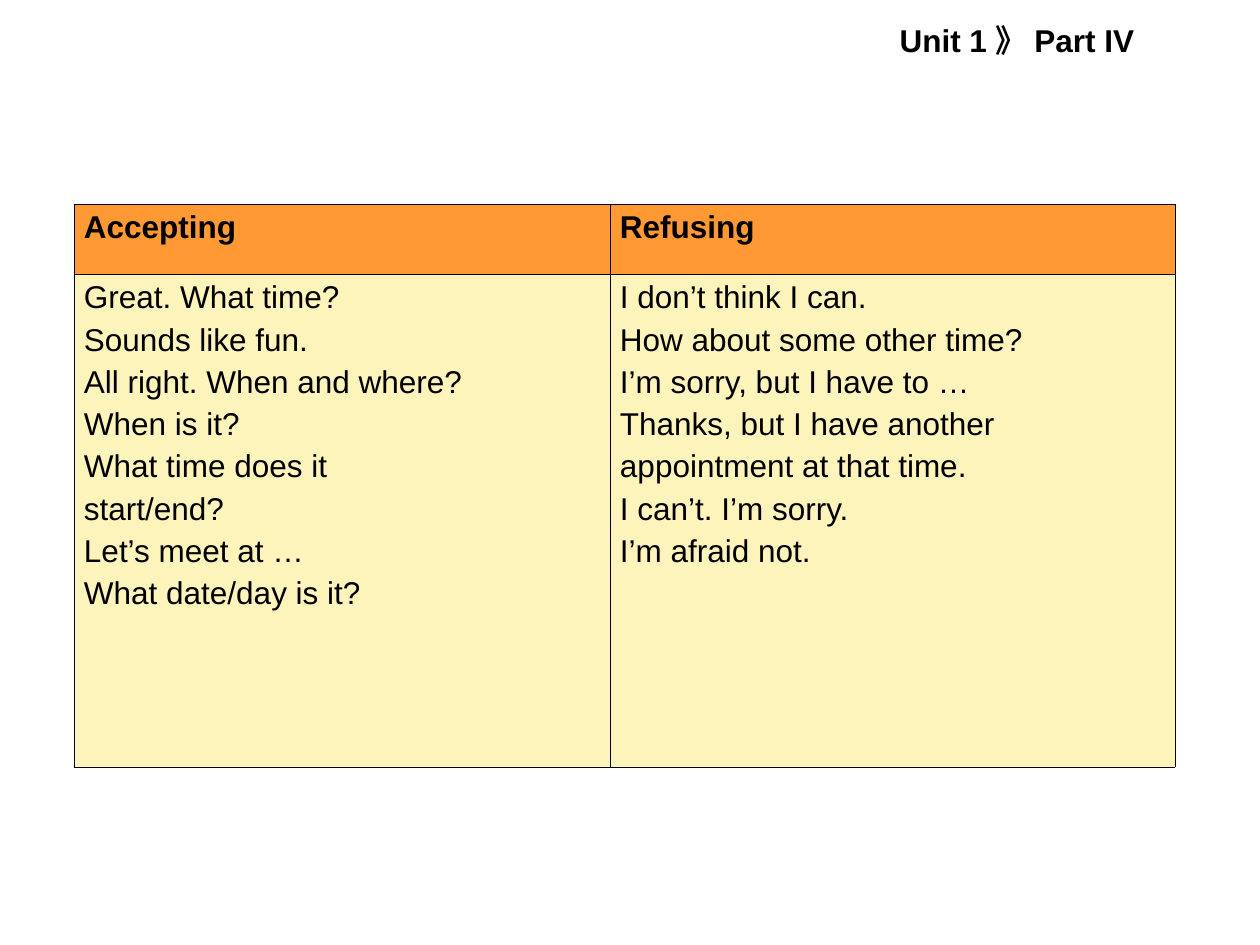
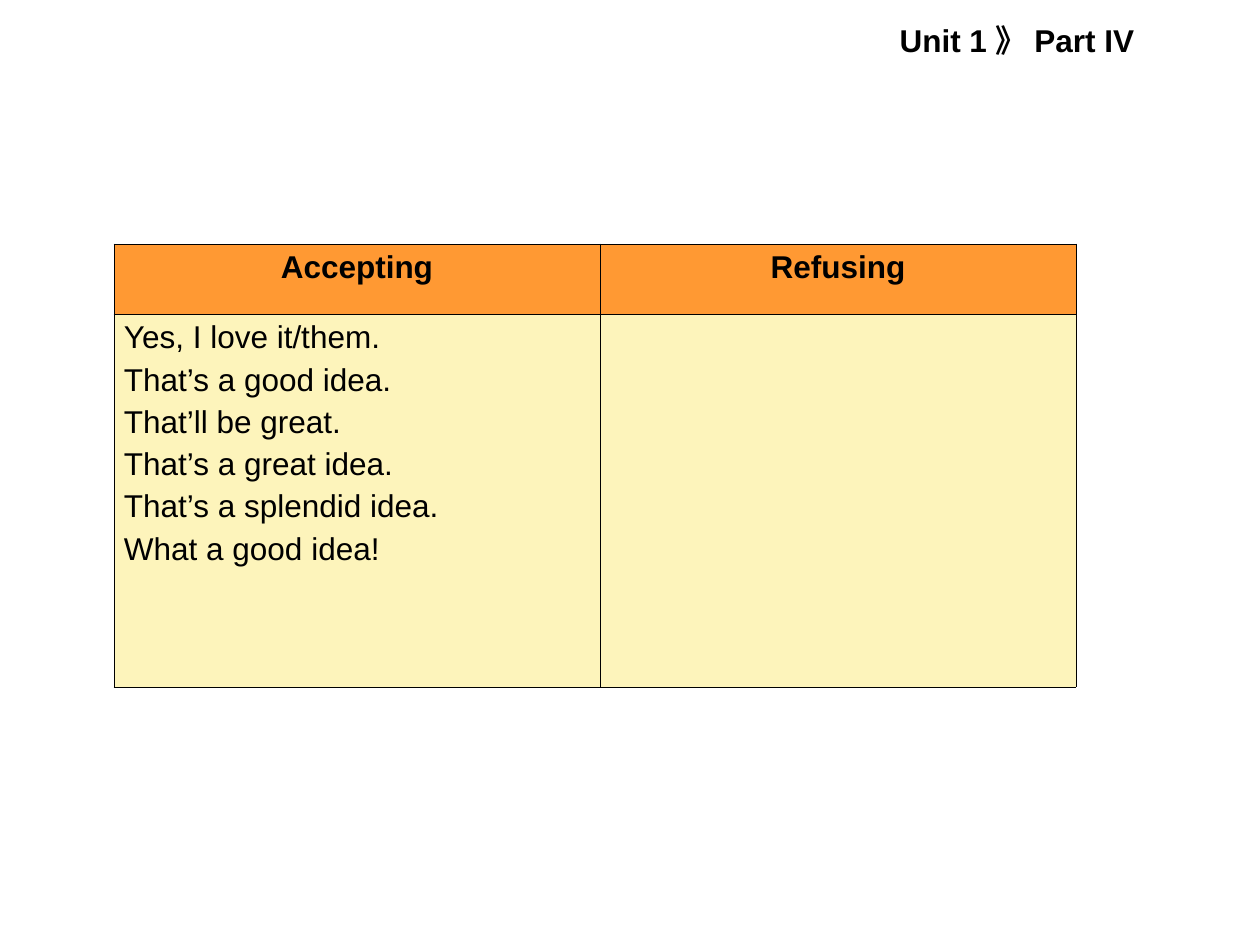
from dataclasses import dataclass

from lxml import etree
from pptx import Presentation
from pptx import util as u
from pptx.dml.color import RGBColor
from pptx.enum import text
from pptx.oxml import ns

PX = u.Inches(1) / 126


@dataclass(frozen=True)
class Theme:
    font: str = "Arial"
    size: float = 18
    line_gap: float = 4
    ink: str = "000000"
    header_fill: str = "FF9933"
    body_fill: str = "FDF4BB"
    border_width: float = 0.45


THEME = Theme()
UNIT_TITLE = "Unit 1 》 Part IV"
UNIT_TITLE_BOX = (887, 15, 276, 50)
HEADINGS = ("Accepting", "Refusing")
HEADER_HEIGHT = 70
CELL_INSET = 10
HANGING_INDENT = 48

PHRASE_SLIDES = [
    {
        "box": (74, 204, 1101, 563),
        "first_width": 536,
        "heading_align": text.PP_ALIGN.LEFT,
        "phrases": (
            (
                "Great. What time?",
                "Sounds like fun.",
                "All right. When and where?",
                "When is it?",
                "What time does it",
                "start/end?",
                "Let’s meet at …",
                "What date/day is it?",
            ),
            (
                "I don’t think I can.",
                "How about some other time?",
                "I’m sorry, but I have to …",
                "Thanks, but I have another",
                "appointment at that time.",
                "I can’t. I’m sorry.",
                "I’m afraid not.",
            ),
        ),
    },
    {
        "box": (114, 244, 962, 443),
        "first_width": 486,
        "heading_align": text.PP_ALIGN.CENTER,
        "phrases": (
            (
                "Yes, I love it/them.",
                "That’s a good idea.",
                "That’ll be great.",
                "That’s a great idea.",
                "That’s a splendid idea.",
                "What a good idea!",
            ),
            (),
        ),
    },
]


def emu(pixels):
    return u.Emu(round(pixels * PX))


def style_font(para, bold):
    para.font.name = THEME.font
    para.font.size = u.Pt(THEME.size)
    para.font.bold = bold
    para.font.color.rgb = RGBColor.from_string(THEME.ink)


def add_unit_title(page, box):
    title = page.shapes.title
    title.left, title.top, title.width, title.height = map(emu, box)
    frame = title.text_frame
    frame.text = UNIT_TITLE
    frame.word_wrap = False
    frame.auto_size = text.MSO_AUTO_SIZE.SHAPE_TO_FIT_TEXT
    frame.vertical_anchor = text.MSO_ANCHOR.TOP
    para = frame.paragraphs[0]
    para.alignment = text.PP_ALIGN.LEFT
    style_font(para, bold=True)


def outline_cell(cell):
    properties = cell._tc.get_or_add_tcPr()
    for index, side in enumerate(("lnL", "lnR", "lnT", "lnB")):
        line = etree.Element(ns.qn(f"a:{side}"), w=str(u.Pt(THEME.border_width)))
        fill = etree.SubElement(line, ns.qn("a:solidFill"))
        etree.SubElement(fill, ns.qn("a:srgbClr"), val=THEME.ink)
        properties.insert(index, line)


def fill_cell(cell, lines, color, bold, align):
    cell.fill.solid()
    cell.fill.fore_color.rgb = RGBColor.from_string(color)
    cell.margin_left = cell.margin_right = emu(CELL_INSET)
    outline_cell(cell)
    cell.text = "\n".join(lines)
    for index, para in enumerate(cell.text_frame.paragraphs):
        para.alignment = align
        if index:
            para.space_before = u.Pt(THEME.line_gap)
        properties = para._p.get_or_add_pPr()
        properties.set("marL", str(emu(HANGING_INDENT)))
        properties.set("indent", str(-emu(HANGING_INDENT)))
        style_font(para, bold)


def add_phrase_table(page, box, first_width, heading_align, phrases):
    left, top, width, height = box
    table = page.shapes.add_table(2, 2, *map(emu, box)).table
    for column, size in zip(table.columns, (first_width, width - first_width)):
        column.width = emu(size)
    for row, size in zip(table.rows, (HEADER_HEIGHT, height - HEADER_HEIGHT)):
        row.height = emu(size)
    for index, (heading, lines) in enumerate(zip(HEADINGS, phrases)):
        fill_cell(table.cell(0, index), [heading], THEME.header_fill, True, heading_align)
        fill_cell(table.cell(1, index), lines, THEME.body_fill, False, text.PP_ALIGN.LEFT)


def main():
    deck = Presentation()
    deck.slide_width, deck.slide_height = u.Inches(10), u.Inches(7.5)
    title_only = deck.slide_layouts.get_by_name("Title Only")
    for content in PHRASE_SLIDES:
        page = deck.slides.add_slide(title_only)
        add_unit_title(page, UNIT_TITLE_BOX)
        add_phrase_table(page, **content)
    deck.save("out.pptx")


if __name__ == "__main__":
    main()
